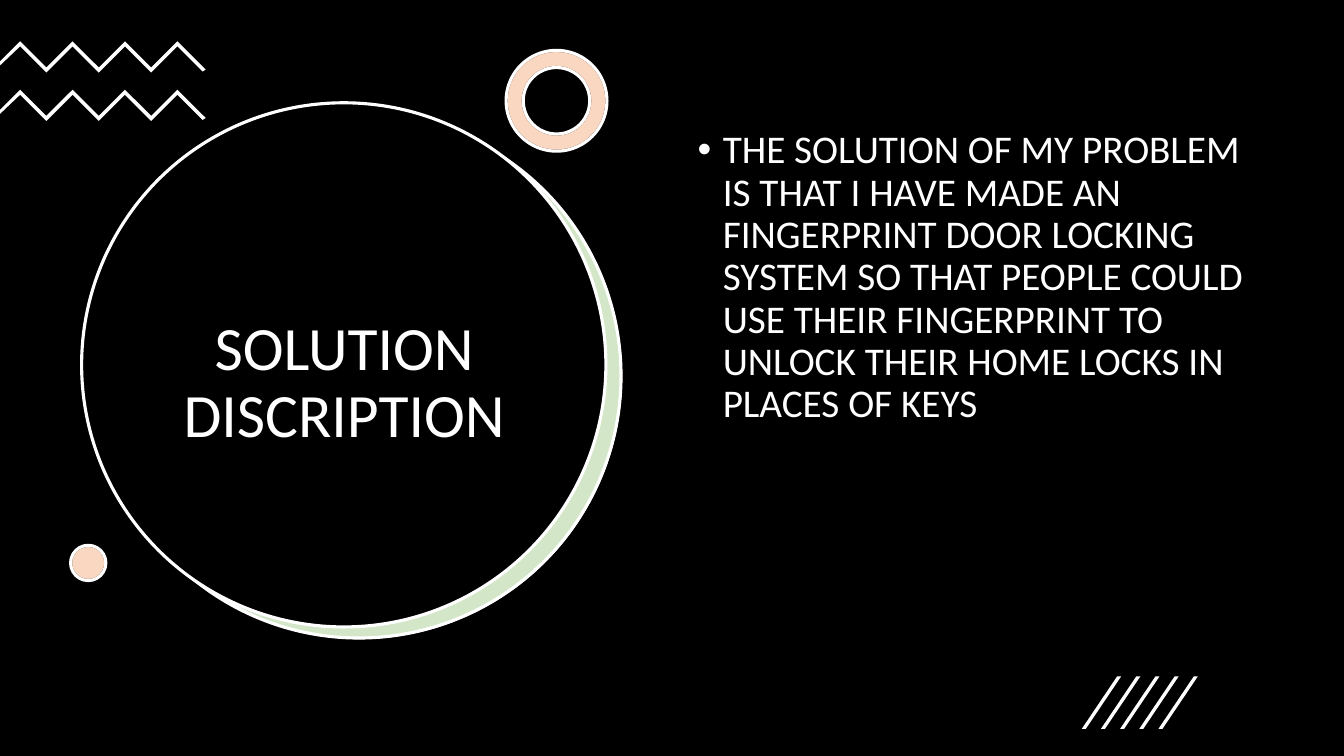
"""Build the solution slide with circles, zigzags and slashes on black."""
from lxml.etree import SubElement
from pptx import Presentation
from pptx.dml.color import RGBColor
from pptx.enum.shapes import MSO_SHAPE
from pptx.enum.text import MSO_ANCHOR, MSO_AUTO_SIZE, PP_ALIGN
from pptx.oxml.ns import qn
from pptx.util import Inches, Pt

WHITE, BLACK, GREEN, PEACH = "FFFFFF", "000000", "70AD47", "ED7D31"


def paint(shape, fill, line=None, alpha=100):
    shape.shadow.inherit = False
    shape.fill.solid()
    shape.fill.fore_color.rgb = RGBColor.from_string(fill)
    if alpha < 100:
        color = shape.element.spPr.find(qn("a:solidFill"))[0]
        SubElement(color, qn("a:alpha"), val=str(alpha * 1000))
    if line:
        shape.line.color.rgb = RGBColor.from_string(line)
        shape.line.width = Pt(2.25)
    else:
        shape.line.fill.background()


def trace(points):
    spots = [(Inches(x), Inches(y)) for x, y in points]
    pen = slide.shapes.build_freeform(*spots[0])
    pen.add_line_segments(spots[1:], close=True)
    shape = pen.convert_to_shape()
    paint(shape, WHITE)
    return shape


deck = Presentation()
deck.slide_width, deck.slide_height = Inches(13.33), Inches(7.5)
slide = deck.slides.add_slide(deck.slide_layouts[5])
shapes = slide.shapes

back = shapes.add_shape(MSO_SHAPE.RECTANGLE, 0, 0, deck.slide_width, deck.slide_height)
paint(back, BLACK)

rounds = [
    (MSO_SHAPE.OVAL, 0.97, 1.14, 5.2, WHITE, None, 100),
    (MSO_SHAPE.OVAL, 0.96, 1.13, 5.2, GREEN, WHITE, 30),
    (MSO_SHAPE.OVAL, 0.81, 1.02, 5.2, BLACK, WHITE, 100),
]
for kind, left, top, size in [(MSO_SHAPE.DONUT, 5.02, 0.5, 1), (MSO_SHAPE.OVAL, 0.7, 5.41, 0.35)]:
    rounds.append((kind, left, top, size, WHITE, BLACK, 100))
    rounds.append((kind, left, top, size, PEACH, WHITE, 30))
for kind, left, top, size, fill, line, alpha in rounds:
    shape = shapes.add_shape(kind, Inches(left), Inches(top), Inches(size), Inches(size))
    if kind == MSO_SHAPE.DONUT:
        shape.adjustments[0] = 0.17
    paint(shape, fill, line, alpha)

waves = []
for top in (0.41, 0.89):
    upper = [(0.2 + 0.26 * i, top + 0.26 * (i % 2)) for i in range(7)]
    lower = [(x, y + 0.05) for x, y in reversed(upper)]
    right = [(2.04, top + 0.28), (2.01, top + 0.3)]
    left = [(0, top + 0.24), (0, top + 0.2)]
    waves.append(trace(upper + right + lower + left))
shapes.add_group_shape(waves)

slashes = []
for i in range(5):
    x = 10.73 + 0.19 * i
    slashes.append(trace([(x + 0.04, 7.23), (x, 7.23), (x + 0.35, 6.71), (x + 0.39, 6.71)]))
shapes.add_group_shape(slashes)

title = shapes.title
title.left, title.top, title.width, title.height = map(Inches, (1.21, 2.05, 4.41, 3.52))
title.text_frame.text = "SOLUTION DISCRIPTION"
title.text_frame.vertical_anchor = MSO_ANCHOR.MIDDLE
title.element.getparent().append(title.element)

body = shapes.add_textbox(Inches(6.82), Inches(1.24), Inches(5.71), Inches(4.76))
body.text_frame.text = (
    "THE SOLUTION OF MY PROBLEM IS THAT I HAVE MADE AN FINGERPRINT DOOR LOCKING "
    "SYSTEM SO THAT PEOPLE COULD USE THEIR FINGERPRINT TO UNLOCK THEIR HOME LOCKS "
    "IN PLACES OF KEYS"
)

for box, size, align in [(title, 44, PP_ALIGN.CENTER), (body, 28, PP_ALIGN.LEFT)]:
    box.text_frame.word_wrap = True
    box.text_frame.auto_size = MSO_AUTO_SIZE.NONE
    para = box.text_frame.paragraphs[0]
    para.alignment = align
    para.line_spacing = 0.9
    para.font.name = "Calibri"
    para.font.size = Pt(size)
    para.font.color.rgb = RGBColor.from_string(WHITE)

point = body.text_frame.paragraphs[0]
point.space_before = Pt(10)
props = point._p.get_or_add_pPr()
props.set("marL", str(Inches(0.25)))
props.set("indent", str(Inches(-0.25)))
for tag, name, value in [("a:buFont", "typeface", "Arial"), ("a:buChar", "char", "•")]:
    bullet = props.makeelement(qn(tag), {name: value})
    props.find(qn("a:defRPr")).addprevious(bullet)

deck.save("out.pptx")
